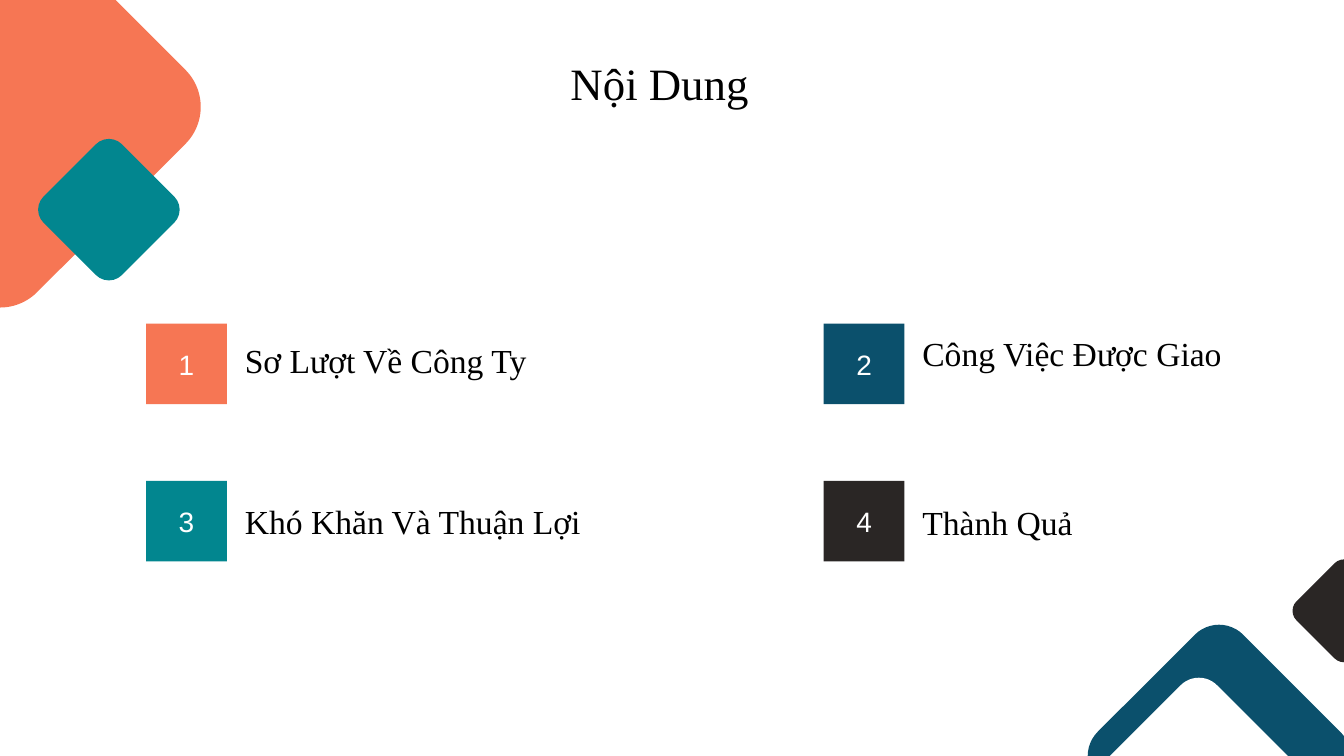
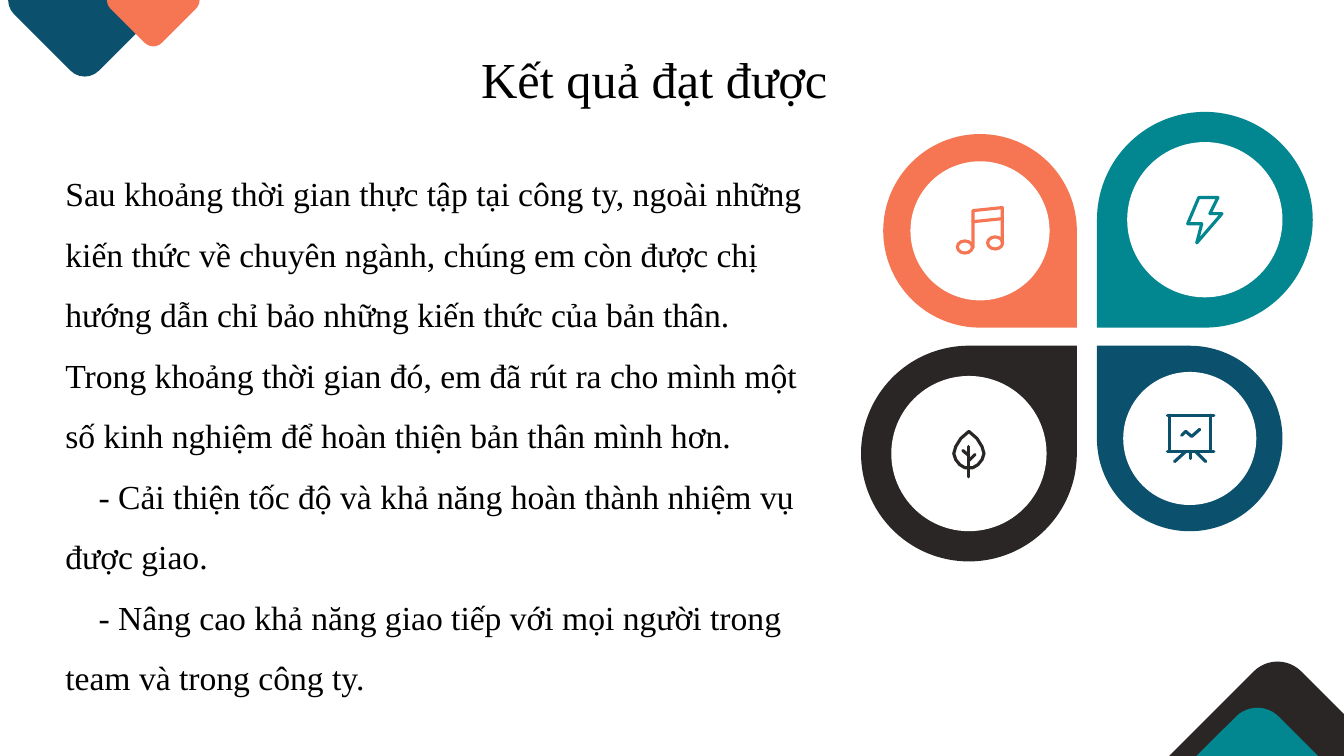
"""Builds the agenda slide and the results slide of an internship report."""
from lxml import etree
from pptx import Presentation
from pptx.dml.color import RGBColor
from pptx.enum.shapes import MSO_SHAPE
from pptx.enum.text import MSO_ANCHOR, PP_ALIGN
from pptx.oxml.ns import qn
from pptx.util import Pt

PX = 9144
ROUNDED, SQUARE = MSO_SHAPE.ROUNDED_RECTANGLE, MSO_SHAPE.RECTANGLE
OVAL, TEARDROP = MSO_SHAPE.OVAL, MSO_SHAPE.TEAR
LEFT, CENTER = PP_ALIGN.LEFT, PP_ALIGN.CENTER
TOP, MIDDLE = MSO_ANCHOR.TOP, MSO_ANCHOR.MIDDLE
CORAL, TEAL, BLUE, DARK = "F67654", "02868F", "0B506C", "2A2625"
WHITE, BLACK = "FFFFFF", "000000"
SERIF, SANS = "Times New Roman", "Arial"


def add_figure(slide, kind, center_x, center_y, size, fill, rotation=0, height=None):
    """Adds a plain filled shape around a center."""
    height = height or size
    shape = slide.shapes.add_shape(
        kind, (center_x * 2 - size) * PX // 2, (center_y * 2 - height) * PX // 2,
        size * PX, height * PX)
    shape.rotation = rotation
    shape.shadow.inherit = False
    shape.fill.solid()
    shape.fill.fore_color.rgb = RGBColor.from_string(fill)
    shape.line.fill.background()
    return shape


def write_text(shape, texts, size, font=SERIF, color=BLACK, align=LEFT, anchor=TOP):
    """Writes paragraphs in one style and returns them."""
    frame = shape.text_frame
    frame.word_wrap = True
    frame.vertical_anchor = anchor
    frame.text = "\n".join(texts)
    for paragraph in frame.paragraphs:
        paragraph.alignment = align
        paragraph.font.size = Pt(size)
        paragraph.font.name = font
        paragraph.font.color.rgb = RGBColor.from_string(color)
    return frame.paragraphs


presentation = Presentation()
presentation.slide_width, presentation.slide_height = 1333 * PX, 750 * PX

slide_designs = [
    ("Nội Dung", 32, LEFT, (556, 50, 281, 64), [
        (0, 106, 312, CORAL), (108, 208, 110, TEAL), (1209, 750, 204, BLUE),
        (1333, 606, 80, DARK), (1189, 770, 153, WHITE)]),
    ("Kết quả đạt được", 36, CENTER, (382, 43, 534, 71), [
        (84, 0, 119, BLUE), (152, 0, 72, CORAL), (1267, 784, 200, DARK),
        (1247, 817, 180, TEAL)]),
]
slides = []
for title, title_size, title_align, title_box, diamonds in slide_designs:
    slide = presentation.slides.add_slide(presentation.slide_layouts[6])
    slides.append(slide)
    for center_x, center_y, size, color in diamonds:
        add_figure(slide, ROUNDED, center_x, center_y, size, color, 45)
    title_shape = slide.shapes.add_textbox(*[length * PX for length in title_box])
    write_text(title_shape, [title], title_size, align=title_align)
agenda, results = slides

agenda_items = [
    ("Sơ Lượt Về Công Ty", CORAL, 332), ("Công Việc Được Giao", BLUE, 325),
    ("Khó Khăn Và Thuận Lợi", TEAL, 492), ("Thành Quả", DARK, 493),
]
for index, (label, color, label_top) in enumerate(agenda_items):
    row, column = divmod(index, 2)
    center_x, center_y = 185 + 672 * column, 361 + 156 * row
    number = add_figure(agenda, SQUARE, center_x, center_y, 80, color)
    write_text(number, [str(index + 1)], 20, SANS, WHITE, CENTER, MIDDLE)
    label_shape = agenda.shapes.add_textbox(
        (center_x + 48) * PX, label_top * PX, 394 * PX, 50 * PX)
    write_text(label_shape, [label], 24)

petals = [
    (1195, 218, 214, TEAL, 180), (972, 229, 192, CORAL, 90),
    (961, 450, 214, DARK, 0), (1180, 435, 184, BLUE, 270),
]
for center_x, center_y, size, color, rotation in petals:
    add_figure(results, TEARDROP, center_x, center_y, size, color, rotation)
    add_figure(results, OVAL, center_x, center_y, round(size * 0.72), WHITE)

music_strokes = [
    [(965, 246), (965, 209), (994, 206), (994, 241)], [(965, 220), (994, 217)]]
leaf_strokes = [
    [(961, 428), (953, 435), (948, 443), (946, 450), (948, 456), (952, 461),
     (957, 464), (965, 464), (970, 461), (974, 456), (976, 450), (974, 443),
     (969, 435), (961, 428)],
    [(961, 443), (961, 473)], [(955, 447), (961, 452)], [(961, 457), (967, 451)]]
board_strokes = [
    [(1158, 412), (1204, 412)], [(1158, 448), (1204, 448)],
    [(1160, 412), (1160, 448)], [(1201, 412), (1201, 448)],
    [(1172, 432), (1176, 428), (1182, 433), (1190, 426)],
    [(1176, 448), (1165, 458)], [(1181, 448), (1181, 455)], [(1186, 448), (1196, 458)]]
bolt_strokes = [
    [(1189, 196), (1208, 196), (1200, 212), (1212, 212), (1187, 241), (1192, 222),
     (1178, 222), (1189, 196)]]
icons = [
    (music_strokes, CORAL, [(957, 245), (987, 241)]), (leaf_strokes, DARK, []),
    (board_strokes, BLUE, []), (bolt_strokes, TEAL, []),
]
for strokes, color, note_heads in icons:
    outlines = [add_figure(results, OVAL, center_x, center_y, 15, WHITE, height=12)
                for center_x, center_y in note_heads]
    builder = results.shapes.build_freeform(*strokes[0][0], scale=PX)
    for stroke in strokes:
        builder.move_to(*stroke[0])
        builder.add_line_segments(stroke[1:], close=False)
    drawing = builder.convert_to_shape()
    drawing.shadow.inherit = False
    drawing.fill.background()
    for shape in outlines + [drawing]:
        shape.line.color.rgb = RGBColor.from_string(color)
        shape.line.width = Pt(2.25)
        line = shape.line._get_or_add_ln()
        line.set("cap", "rnd")
        etree.SubElement(line, qn("a:round"))

body_texts = [
    "Sau khoảng thời gian thực tập tại công ty, ngoài những kiến thức về chuyên ngành, "
    "chúng em còn được chị hướng dẫn chỉ bảo những kiến thức của bản thân.",
    "Trong khoảng thời gian đó, em đã rút ra cho mình một số kinh nghiệm để hoàn thiện "
    "bản thân mình hơn.",
    "- Cải thiện tốc độ và khả năng hoàn thành nhiệm vụ được giao.",
    "- Nâng cao khả năng giao tiếp với mọi người trong team và trong công ty.",
]
body = results.shapes.add_textbox(55 * PX, 147 * PX, 769 * PX, 555 * PX)
for paragraph in write_text(body, body_texts, 24):
    paragraph.line_spacing = 1.5
    if paragraph.text.startswith("-"):
        paragraph._p.get_or_add_pPr().set("indent", str(33 * PX))

presentation.save("out.pptx")
